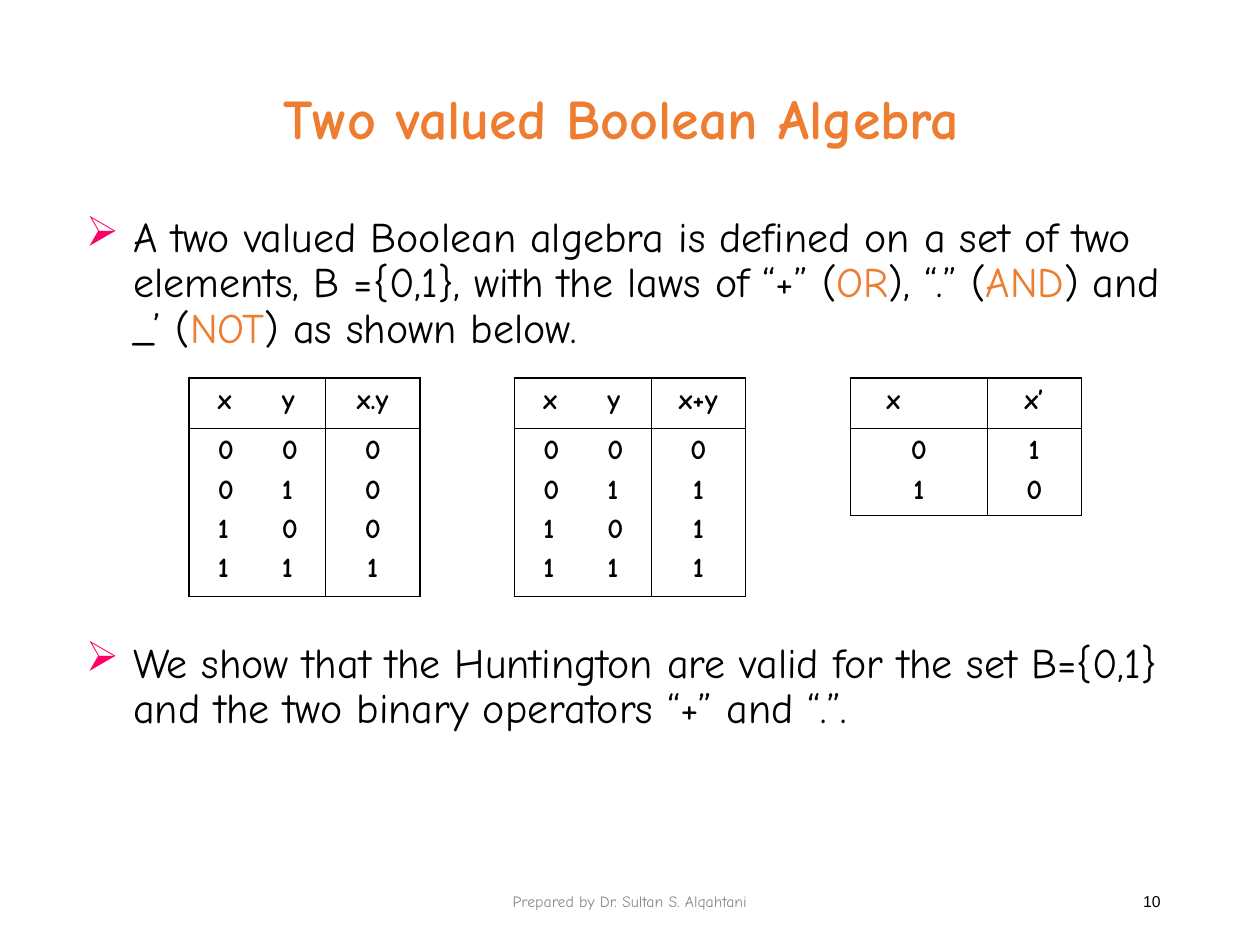
from dataclasses import dataclass

from lxml import etree
from pptx import Presentation
from pptx.dml.color import RGBColor
from pptx.enum.text import MSO_ANCHOR, PP_ALIGN
from pptx.oxml.ns import qn
from pptx.slide import Slide
from pptx.table import _Cell
from pptx.text.text import _Paragraph
from pptx.util import Length, Pt

LEFT, CENTER, RIGHT = PP_ALIGN.LEFT, PP_ALIGN.CENTER, PP_ALIGN.RIGHT
TOP, MIDDLE = MSO_ANCHOR.TOP, MSO_ANCHOR.MIDDLE

BLACK = RGBColor(0x00, 0x00, 0x00)
ORANGE = RGBColor(0xED, 0x7D, 0x31)
PINK = RGBColor(0xFF, 0x00, 0x66)
GRAY = RGBColor(0x89, 0x89, 0x89)

COMIC = "Comic Neue"
ARIAL = "Arial"

OUTER_LINE, INNER_LINE = Pt(1.08), Pt(0.45)
TABLE_TOP = Pt(216)
COLUMN_WIDTHS = (Pt(78), Pt(54))
HEADER_HEIGHT = Pt(28.8)
PAIR_MARGIN, PAIR_TAB = Pt(16.5), Pt(36.5)
BULLET_INDENT = Pt(27)


@dataclass(frozen=True)
class Label:
    text: str
    left: Length
    top: Length
    width: Length
    height: Length
    size: Length
    font: str
    color: RGBColor
    align: PP_ALIGN
    anchor: MSO_ANCHOR = MIDDLE
    bold: bool = False
    wrap: bool = True
    space_before: Length = Pt(0)


@dataclass(frozen=True)
class TruthTable:
    left: Length
    body_height: Length
    inputs: str
    output: str
    rows: tuple[tuple[str, str], ...]
    header_right_margin: Length = Pt(7.2)


@dataclass(frozen=True)
class Point:
    phrases: tuple[tuple[str, RGBColor], ...]
    space_before: Length


TITLE = Label("Two valued Boolean Algebra", Pt(154), Pt(44), Pt(402.5), Pt(46),
              Pt(32), COMIC, ORANGE, CENTER, TOP, True, False, Pt(8))
PAGE_NUMBER = Label("10", Pt(508.3), Pt(500.4), Pt(162), Pt(28.8),
                    Pt(9), ARIAL, BLACK, RIGHT)
CREDIT = Label("Prepared by Dr. Sultan S. Alqahtani", Pt(238.5), Pt(500.4),
               Pt(242.6), Pt(28.8), Pt(9), COMIC, GRAY, CENTER)

POINTS = (
    Point((("A two valued Boolean algebra is defined on a set of two elements, "
            "B ={0,1}, with the laws of “+” (", BLACK),
           ("OR", ORANGE), ("), “.” (", BLACK), ("AND", ORANGE),
           (") and _’ (", BLACK), ("NOT", ORANGE),
           (") as shown below.", BLACK)), Pt(6)),
    Point((("We show that the Huntington are valid for the set B={0,1} and "
            "the two binary operators “+” and “.”.", BLACK),), Pt(165.5)),
)

INPUT_PAIRS = ("0\t0", "0\t1", "1\t0", "1\t1")
TRUTH_TABLES = (
    TruthTable(Pt(108), Pt(95.8), "x\ty", "x.y", tuple(zip(INPUT_PAIRS, "0001"))),
    TruthTable(Pt(294), Pt(95.8), "x\ty", "x+y", tuple(zip(INPUT_PAIRS, "0111"))),
    TruthTable(Pt(486), Pt(49.7), "x", "x’", (("0", "1"), ("1", "0")), Pt(36)),
)


def set_font(paragraph: _Paragraph, name: str, size: Length, bold: bool) -> None:
    paragraph.font.name = name
    paragraph.font.size = size
    paragraph.font.bold = bold


def add_label(slide: Slide, label: Label) -> None:
    frame = slide.shapes.add_textbox(
        label.left, label.top, label.width, label.height).text_frame
    frame.word_wrap = label.wrap
    frame.vertical_anchor = label.anchor
    paragraph = frame.paragraphs[0]
    paragraph.text = label.text
    paragraph.alignment = label.align
    paragraph.space_before = label.space_before
    set_font(paragraph, label.font, label.size, label.bold)
    paragraph.font.color.rgb = label.color


def add_bullet(paragraph: _Paragraph) -> None:
    properties = paragraph._p.get_or_add_pPr()
    properties.set("marL", str(BULLET_INDENT))
    properties.set("indent", str(-BULLET_INDENT))
    bullet_color = etree.SubElement(properties, qn("a:buClr"))
    etree.SubElement(bullet_color, qn("a:srgbClr"), val=str(PINK))
    etree.SubElement(properties, qn("a:buChar"), char="➢")


def add_points(slide: Slide, points: tuple[Point, ...]) -> None:
    frame = slide.shapes.add_textbox(Pt(42), Pt(120), Pt(636.5), Pt(366)).text_frame
    frame.word_wrap = True
    for index, point in enumerate(points):
        paragraph = frame.add_paragraph() if index else frame.paragraphs[0]
        add_bullet(paragraph)
        paragraph.line_spacing = 0.9
        paragraph.space_before = point.space_before
        set_font(paragraph, COMIC, Pt(24), False)
        for text, color in point.phrases:
            run = paragraph.add_run()
            run.text = text
            run.font.color.rgb = color


def set_borders(cell: _Cell, row: int, column: int) -> None:
    properties = cell._tc.get_or_add_tcPr()
    outer_sides = {"L": column == 0, "R": column == 1, "T": row == 0, "B": row == 1}
    for side, is_outer in outer_sides.items():
        width = OUTER_LINE if is_outer else INNER_LINE
        line = etree.SubElement(properties, qn(f"a:ln{side}"), w=str(width))
        fill = etree.SubElement(line, qn("a:solidFill"))
        etree.SubElement(fill, qn("a:srgbClr"), val=str(BLACK))


def fill_cell(cell: _Cell, lines: list[str]) -> None:
    frame = cell.text_frame
    frame.text = "\n".join(lines)
    for paragraph in frame.paragraphs:
        paragraph.alignment = CENTER
        if "\t" in paragraph.text:
            paragraph.alignment = LEFT
            cell.margin_left = PAIR_MARGIN
            tabs = etree.SubElement(paragraph._p.get_or_add_pPr(), qn("a:tabLst"))
            etree.SubElement(tabs, qn("a:tab"), pos=str(PAIR_TAB), algn="l")
        paragraph.space_before = Pt(4)
        set_font(paragraph, COMIC, Pt(16), True)
        paragraph.font.color.rgb = BLACK


def add_truth_table(slide: Slide, truth: TruthTable) -> None:
    table = slide.shapes.add_table(
        2, 2, truth.left, TABLE_TOP, sum(COLUMN_WIDTHS),
        HEADER_HEIGHT + truth.body_height).table
    table.first_row = False
    table.horz_banding = False
    for column, width in zip(table.columns, COLUMN_WIDTHS):
        column.width = width
    for row, height in zip(table.rows, (HEADER_HEIGHT, truth.body_height)):
        row.height = height
    inputs, outputs = zip(*truth.rows)
    contents = (([truth.inputs], [truth.output]), (list(inputs), list(outputs)))
    for row, row_contents in enumerate(contents):
        for column, lines in enumerate(row_contents):
            cell = table.cell(row, column)
            set_borders(cell, row, column)
            cell.fill.background()
            fill_cell(cell, lines)
    table.cell(0, 0).margin_right = truth.header_right_margin


def main() -> None:
    presentation = Presentation()
    presentation.slide_width, presentation.slide_height = Pt(720), Pt(540)
    slide = presentation.slides.add_slide(presentation.slide_layouts[6])
    add_label(slide, PAGE_NUMBER)
    add_label(slide, TITLE)
    add_points(slide, POINTS)
    for truth in TRUTH_TABLES:
        add_truth_table(slide, truth)
    add_label(slide, CREDIT)
    presentation.save("out.pptx")


if __name__ == "__main__":
    main()
